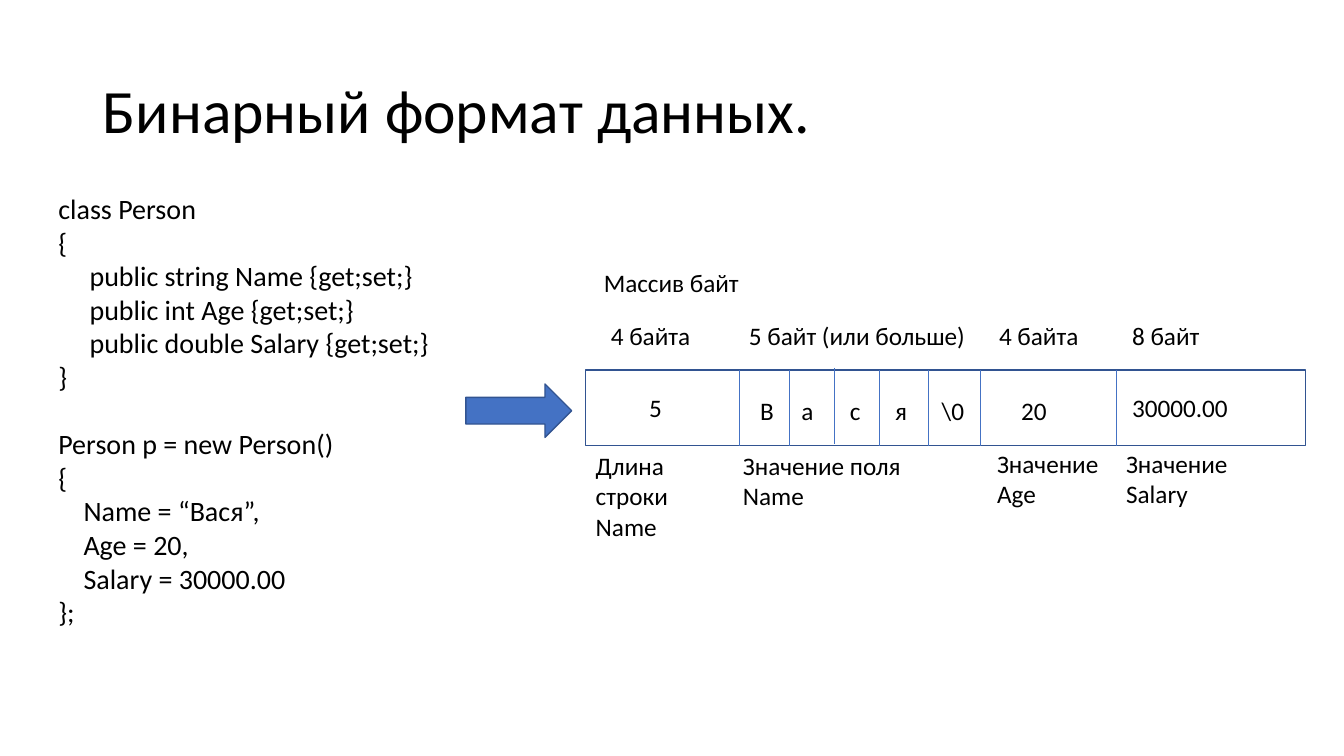
from pptx import Presentation
from pptx.dml.color import RGBColor
from pptx.enum.shapes import MSO_CONNECTOR, MSO_SHAPE
from pptx.enum.text import MSO_ANCHOR, MSO_AUTO_SIZE, PP_ALIGN
from pptx.oxml.ns import qn
from pptx.util import Inches, Pt
from lxml import etree

BLACK = RGBColor(0x00, 0x00, 0x00)
BLUE = RGBColor(0x44, 0x72, 0xC4)
DARK_BLUE = RGBColor(0x32, 0x54, 0x91)
LEFT, MIDDLE = PP_ALIGN.LEFT, MSO_ANCHOR.MIDDLE
GROW, NO_FIT = MSO_AUTO_SIZE.SHAPE_TO_FIT_TEXT, MSO_AUTO_SIZE.NONE
STRAIGHT = MSO_CONNECTOR.STRAIGHT
RECT, ARROW = MSO_SHAPE.RECTANGLE, MSO_SHAPE.RIGHT_ARROW

ARRAY_TOP, ARRAY_HEIGHT = 3.67, 0.75
CODE = [
    ("class Person", 0, 0),
    ("{", 0, 0),
    ("public string Name {get;set;}", 0.31, 0),
    ("public int Age {get;set;}", 0.31, 0),
    ("public double Salary {get;set;}", 0.31, 0),
    ("}", 0, 0),
    ("Person p = new Person()", 0, 24),
    ("{", 0, 0),
    ("Name = “Вася”,", 0.25, 0),
    ("Age = 20,", 0.25, 0),
    ("Salary = 30000.00", 0.25, 0),
    ("};", 0, 0),
]
SIZES = [
    ("4 байта", 5.96, 1.09),
    ("5 байт (или больше)", 7.33, 2.4),
    ("4 байта", 9.81, 1.09),
    ("8 байт", 11.13, 1.09),
]
VALUES = [
    ("5", 6.34, 3.84, 0.33),
    ("В", 7.44, 3.87, 0.33),
    ("а", 7.85, 3.87, 0.33),
    ("с", 8.33, 3.87, 0.33),
    ("я", 8.78, 3.87, 0.33),
    ("\\0", 9.24, 3.87, 0.46),
    ("20", 10.03, 3.87, 0.66),
    ("30000.00", 11.13, 3.84, 1.65),
]
MEANINGS = [
    (["Длина", "строки", "Name"], 5.81, 4.42, 1.52),
    (["Значение поля", "Name"], 7.27, 4.42, 2.46),
    (["Значение", "Age"], 9.79, 4.4, 1.29),
    (["Значение", "Salary"], 11.07, 4.4, 1.29),
]
DIVIDERS = [
    (7.33, ARRAY_TOP),
    (7.83, ARRAY_TOP),
    (8.28, ARRAY_TOP - 0.02),
    (8.72, ARRAY_TOP),
    (9.21, ARRAY_TOP),
    (9.72, ARRAY_TOP),
    (11.07, ARRAY_TOP),
]


def apply(obj, formats):
    """Set each attribute named in formats on obj."""
    for name, value in formats.items():
        setattr(obj, name, value)


def style_font(font, size):
    """Give a font the slide's typeface, size and colour."""
    apply(font, {"name": "Calibri", "size": Pt(size)})
    font.color.rgb = BLACK


def add_title(slide, text):
    """Place and format the title placeholder."""
    sp = slide.shapes.title
    apply(sp, {"left": Inches(0.92), "top": Inches(0.4),
               "width": Inches(11.5), "height": Inches(1.45)})
    tf = sp.text_frame
    apply(tf, {"text": text, "vertical_anchor": MIDDLE, "auto_size": NO_FIT,
               "word_wrap": True})
    p = tf.paragraphs[0]
    apply(p, {"alignment": LEFT, "line_spacing": 0.9})
    style_font(p.runs[0].font, 44)


def add_text(slide, lines, left, top, width, height, size=18):
    """Add a wrapped text box and return its text frame."""
    sp = slide.shapes.add_textbox(Inches(left), Inches(top), Inches(width), Inches(height))
    tf = sp.text_frame
    apply(tf, {"text": "\n".join(lines), "word_wrap": True, "auto_size": GROW})
    for p in tf.paragraphs:
        style_font(p.runs[0].font, size)
    return tf


def add_code(slide):
    """Add the code listing with indented lines."""
    tf = add_text(slide, [text for text, _, _ in CODE], 0.48, 1.85, 4.58, 4.48, 20)
    for p, (_, indent, gap) in zip(tf.paragraphs, CODE):
        p.space_before = Pt(gap)
        p._p.get_or_add_pPr().set("marL", str(Inches(indent)))


def add_box(slide, kind, left, top, width, height, fill=None):
    """Add an outlined preset shape with an optional fill."""
    sp = slide.shapes.add_shape(kind, Inches(left), Inches(top), Inches(width), Inches(height))
    sp.shadow.inherit = False
    if fill is None:
        sp.fill.background()
    else:
        sp.fill.solid()
        sp.fill.fore_color.rgb = fill
    sp.line.color.rgb = DARK_BLUE
    sp.line.width = Pt(1)


def add_divider(slide, x, top):
    """Add a vertical line between cells of the byte array."""
    line = slide.shapes.add_connector(
        STRAIGHT, Inches(x), Inches(top), Inches(x), Inches(top + ARRAY_HEIGHT))
    line.line.color.rgb = BLUE
    line.line.width = Pt(0.5)
    etree.SubElement(line._element.spPr, qn("a:effectLst"))


def main():
    """Build the slide and save it."""
    prs = Presentation()
    apply(prs, {"slide_width": Inches(13.33), "slide_height": Inches(7.5)})
    slide = prs.slides.add_slide(prs.slide_layouts[5])
    add_title(slide, "Бинарный формат данных.")
    add_code(slide)
    add_box(slide, ARROW, 4.62, 3.81, 1.05, 0.53, BLUE)
    add_box(slide, RECT, 5.81, ARRAY_TOP, 7.14, ARRAY_HEIGHT)
    for x, top in DIVIDERS:
        add_divider(slide, x, top)
    add_text(slide, ["Массив байт"], 5.89, 2.6, 1.6, 0.4)
    for text, left, width in SIZES:
        add_text(slide, [text], left, 3.13, width, 0.4)
    for text, left, top, width in VALUES:
        add_text(slide, [text], left, top, width, 0.4)
    for lines, left, top, width in MEANINGS:
        add_text(slide, lines, left, top, width, 0.1 + 0.3 * len(lines))
    prs.save("out.pptx")


main()
